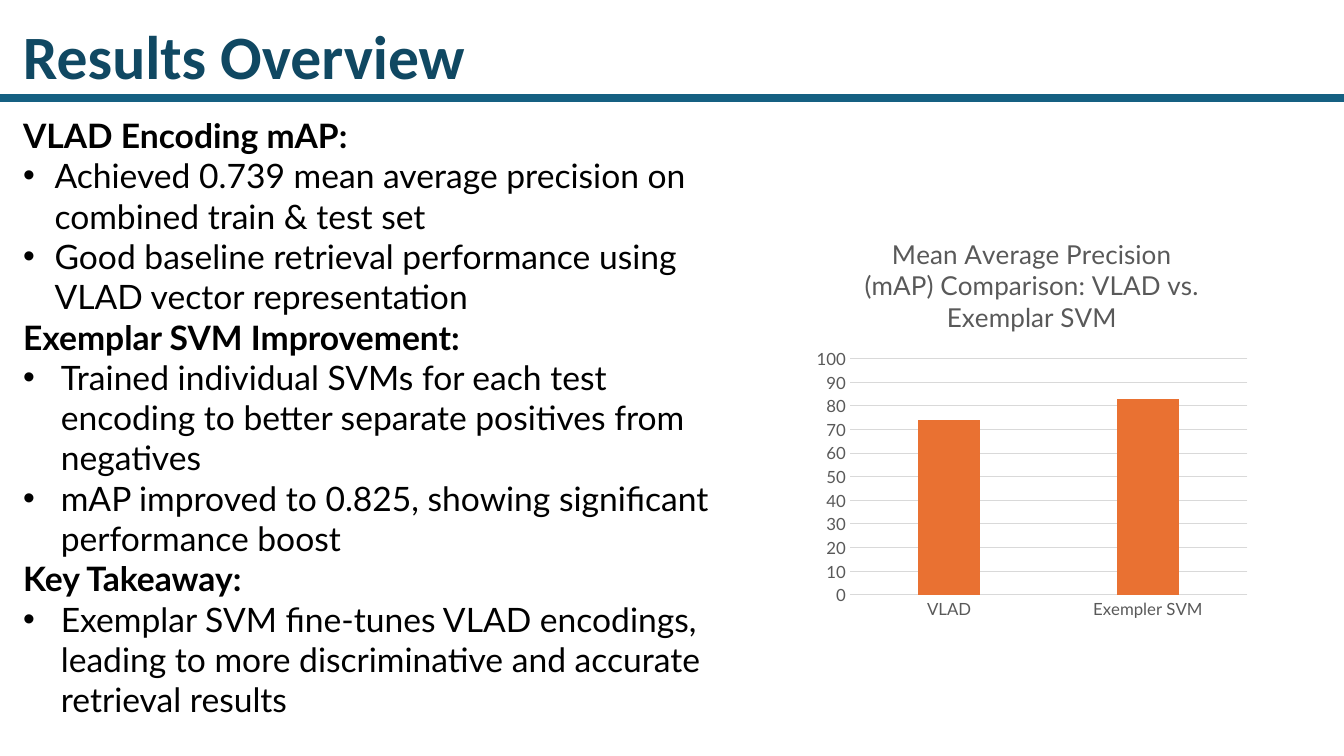
from dataclasses import dataclass

from lxml import etree
from pptx import Presentation
from pptx.chart.data import CategoryChartData
from pptx.dml.color import RGBColor
from pptx.enum.chart import XL_CHART_TYPE, XL_TICK_MARK
from pptx.enum.shapes import MSO_CONNECTOR
from pptx.enum.text import MSO_AUTO_SIZE
from pptx.oxml.ns import qn
from pptx.util import Inches, Pt

COLUMNS = XL_CHART_TYPE.COLUMN_CLUSTERED
NO_TICK = XL_TICK_MARK.NONE
STRAIGHT = MSO_CONNECTOR.STRAIGHT
FIT_SHAPE = MSO_AUTO_SIZE.SHAPE_TO_FIT_TEXT

# Content
TITLE = "Results Overview"
SECTIONS = [  # heading, bullet indent in type points, bullet texts
    ("VLAD Encoding mAP:", 22.5, [
        "Achieved 0.739 mean average precision on combined train & test set",
        "Good baseline retrieval performance using VLAD vector representation",
    ]),
    ("Exemplar SVM Improvement:", 27, [
        "Trained individual SVMs for each test encoding to better separate "
        "positives from negatives",
        "mAP improved to 0.825, showing significant performance boost",
    ]),
    ("Key Takeaway:", 27, [
        "Exemplar SVM fine-tunes VLAD encodings, leading to more "
        "discriminative and accurate retrieval results",
    ]),
]
CHART_TITLE = "Mean Average Precision (mAP) Comparison: VLAD vs. Exemplar SVM"
SCORES = {"VLAD": 74, "Exempler SVM": 83}


@dataclass(frozen=True)
class Theme:
    title_font: str = "Calibri"
    body_font: str = "Lato"
    title_color: str = "104862"
    rule_color: str = "156082"
    text_color: str = "000000"
    label_color: str = "595959"
    grid_color: str = "D9D9D9"
    bar_color: str = "E97132"
    title_size: float = 44
    body_size: float = 24
    chart_title_size: float = 18.6
    axis_size: float = 12
    chart_size: float = 10
    rule_width: float = 6
    grid_width: float = 0.75


THEME = Theme()

# Layout in inches
WIDTH, HEIGHT = 13.33, 7.5
MARGIN = 0.13
RULE_Y = 0.97
TITLE_AREA = (MARGIN, MARGIN, 4.63, RULE_Y - MARGIN)
BODY_AREA = (MARGIN, RULE_Y + 0.12, 7.39, 5.76)
CHART_AREA = (8.01, 2.15, 4.45, 4.07)


def style_font(font, name, size, color, bold=False):
    for key, value in {"name": name, "size": Pt(size), "bold": bold}.items():
        setattr(font, key, value)
    font.color.rgb = RGBColor.from_string(color)


def style_line(line, color, width):
    line.color.rgb = RGBColor.from_string(color)
    line.width = Pt(width)


def add_text_frame(page, area, wrap):
    frame = page.shapes.add_textbox(*map(Inches, area)).text_frame
    frame.word_wrap = wrap
    frame.auto_size = FIT_SHAPE
    return frame


def add_bullet(para, indent):
    props = para._p.get_or_add_pPr()
    props.set("marL", str(Pt(indent)))
    props.set("indent", str(-Pt(indent)))
    etree.SubElement(props, qn("a:buFont")).set("typeface", "Arial")
    etree.SubElement(props, qn("a:buChar")).set("char", "•")


def add_header(page):
    rule = page.shapes.add_connector(
        STRAIGHT, Inches(-0.03), Inches(RULE_Y), Inches(WIDTH), Inches(RULE_Y))
    style_line(rule.line, THEME.rule_color, THEME.rule_width)
    etree.SubElement(rule._element.spPr, qn("a:effectLst"))
    span = add_text_frame(page, TITLE_AREA, False).paragraphs[0].add_run()
    span.text = TITLE
    style_font(span.font, THEME.title_font, THEME.title_size,
               THEME.title_color, True)


def add_body(page):
    frame = add_text_frame(page, BODY_AREA, True)
    lines = []
    for heading, indent, points in SECTIONS:
        lines.append((heading, None))
        lines.extend((point, indent) for point in points)
    for index, (text, indent) in enumerate(lines):
        para = frame.add_paragraph() if index else frame.paragraphs[0]
        if indent:
            add_bullet(para, indent)
        span = para.add_run()
        span.text = text
        style_font(span.font, THEME.body_font, THEME.body_size,
                   THEME.text_color, indent is None)


def add_score_chart(page):
    data = CategoryChartData()
    data.categories = list(SCORES)
    data.add_series(CHART_TITLE, list(SCORES.values()))
    chart = page.shapes.add_chart(COLUMNS, *map(Inches, CHART_AREA), data).chart
    style_font(chart.font, THEME.body_font, THEME.chart_size, THEME.text_color)
    chart.has_legend = False

    # Title
    chart.has_title = True
    chart.chart_title.include_in_layout = False
    span = chart.chart_title.text_frame.paragraphs[0].add_run()
    span.text = CHART_TITLE
    style_font(span.font, THEME.body_font, THEME.chart_title_size,
               THEME.label_color)

    # Bars
    plot = chart.plots[0]
    for key, value in {"gap_width": 219, "overlap": -27,
                       "vary_by_categories": False}.items():
        setattr(plot, key, value)
    fill = plot.series[0].format.fill
    fill.solid()
    fill.fore_color.rgb = RGBColor.from_string(THEME.bar_color)

    # Axes
    names, values = chart.category_axis, chart.value_axis
    for axis in (names, values):
        axis.major_tick_mark = axis.minor_tick_mark = NO_TICK
        style_font(axis.tick_labels.font, THEME.body_font, THEME.axis_size,
                   THEME.label_color)
    for key, value in {"minimum_scale": 0, "maximum_scale": 100,
                       "major_unit": 10}.items():
        setattr(values, key, value)
    values.tick_labels.number_format = "General"
    values.tick_labels.number_format_is_linked = False
    values.format.line.fill.background()
    for line in (names.format.line, values.major_gridlines.format.line):
        style_line(line, THEME.grid_color, THEME.grid_width)


def main():
    deck = Presentation()
    deck.slide_width, deck.slide_height = Inches(WIDTH), Inches(HEIGHT)
    page = deck.slides.add_slide(deck.slide_layouts[6])
    add_header(page)
    add_body(page)
    add_score_chart(page)
    deck.save("out.pptx")


if __name__ == "__main__":
    main()
